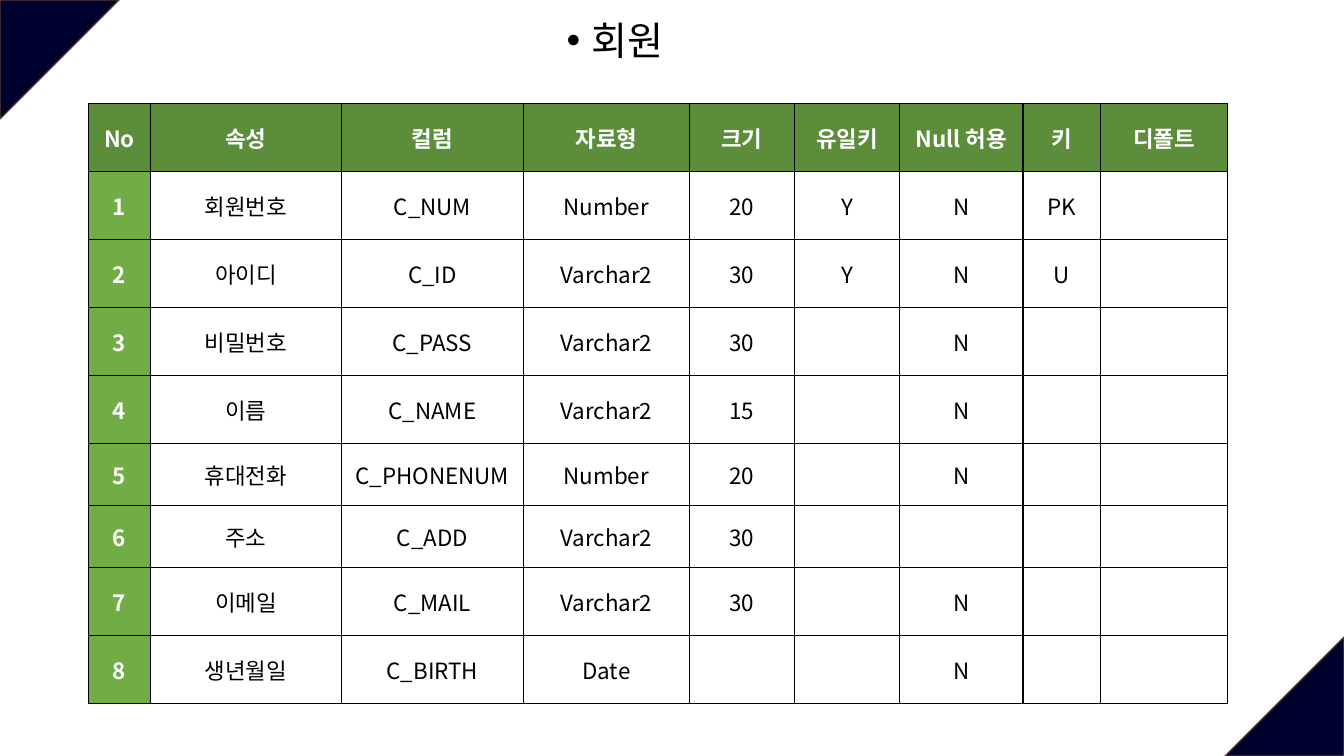
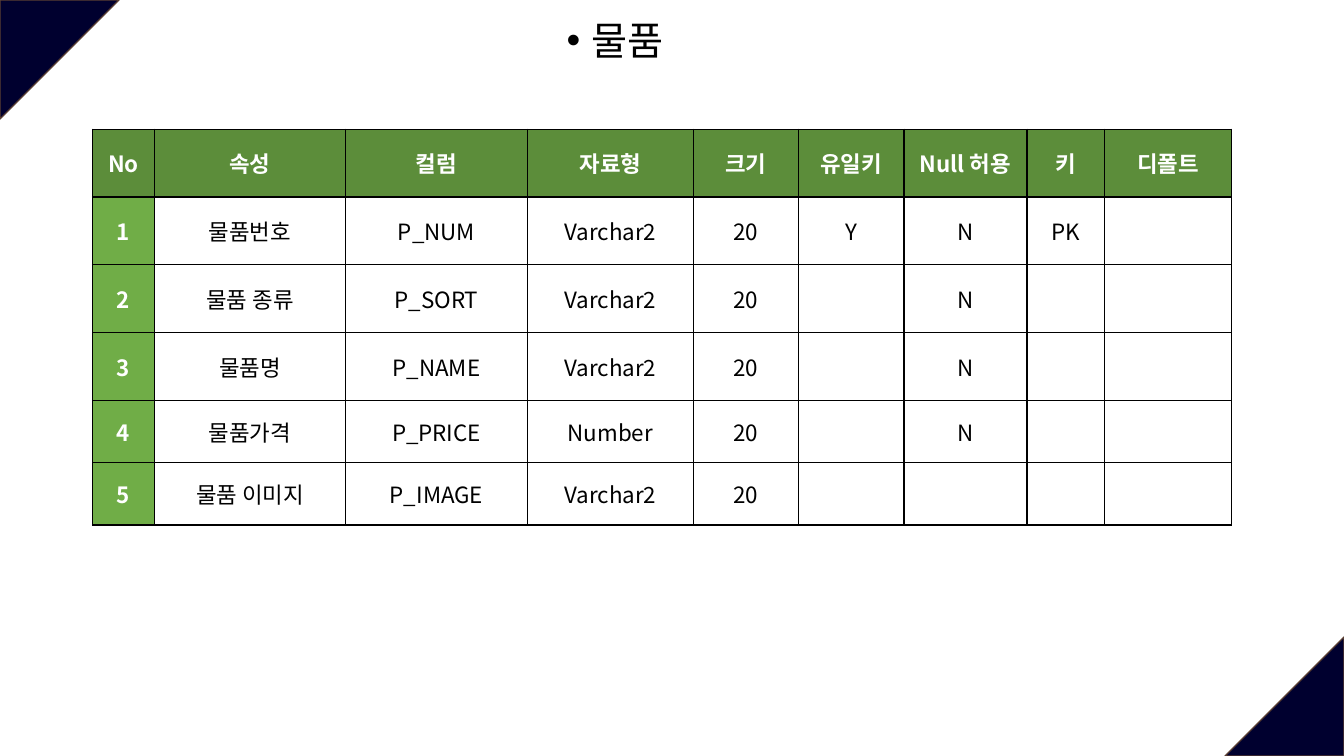
from lxml.etree import SubElement
from pptx import Presentation
from pptx.dml.color import RGBColor
from pptx.enum.shapes import MSO_SHAPE as Preset
from pptx.enum.text import MSO_ANCHOR as Anchor, PP_ALIGN as Align
from pptx.oxml.ns import qn
from pptx.util import Pt

FONT = "Noto Sans CJK KR"
BLACK, WHITE = "000000", "FFFFFF"
NAVY, BROWN = "00002F", "5B3F33"
HEADER_GREEN, NUMBER_GREEN = "5C8D3A", "70AD47"

SLIDE_WIDTH, SLIDE_HEIGHT = 960, 540
CORNER = 85
TITLE_BOX = (134, -34.5, 611, 106)
COLUMN_WIDTHS = (44.3, 136.4, 130, 118.6, 75, 75.4, 87.9, 55.7, 90.4)
TALL_ROW, SHORT_ROW = 48.5, 44.5
CELL_MARGIN = 4.3

HEADER = ("No", "속성", "컬럼", "자료형", "크기", "유일키", "Null 허용", "키", "디폴트")
MEMBER_FIELDS = (
    ("회원번호", "C_NUM", "Number", "20", "Y", "N", "PK", ""),
    ("아이디", "C_ID", "Varchar2", "30", "Y", "N", "U", ""),
    ("비밀번호", "C_PASS", "Varchar2", "30", "", "N", "", ""),
    ("이름", "C_NAME", "Varchar2", "15", "", "N", "", ""),
    ("휴대전화", "C_PHONENUM", "Number", "20", "", "N", "", ""),
    ("주소", "C_ADD", "Varchar2", "30", "", "", "", ""),
    ("이메일", "C_MAIL", "Varchar2", "30", "", "N", "", ""),
    ("생년월일", "C_BIRTH", "Date", "", "", "N", "", ""),
)
GOODS_FIELDS = (
    ("물품번호", "P_NUM", "Varchar2", "20", "Y", "N", "PK", ""),
    ("물품 종류", "P_SORT", "Varchar2", "20", "", "N", "", ""),
    ("물품명", "P_NAME", "Varchar2", "20", "", "N", "", ""),
    ("물품가격", "P_PRICE", "Number", "20", "", "N", "", ""),
    ("물품 이미지", "P_IMAGE", "Varchar2", "20", "", "", "", ""),
)


def color(code):
    """Turn a hex string into a colour."""
    return RGBColor.from_string(code)


def write(para, text, size=16, ink=BLACK, bold=False, align=Align.CENTER):
    """Put one formatted span of text into a paragraph."""
    para.alignment = align
    span = para.add_run()
    span.text = text
    font = span.font
    font.name, font.size, font.bold = FONT, Pt(size), bold
    font.color.rgb = color(ink)
    SubElement(span._r.get_or_add_rPr(), qn("a:ea"), typeface=FONT)


def add_corner(page, left, top, rotation):
    """Draw a right-angled triangle in a corner and return it."""
    corner = page.shapes.add_shape(
        Preset.ISOSCELES_TRIANGLE, Pt(left), Pt(top), Pt(CORNER), Pt(CORNER))
    corner.adjustments[0] = 0
    corner.rotation = rotation
    corner.shadow.inherit = False
    corner.fill.solid()
    corner.fill.fore_color.rgb = color(NAVY)
    corner.line.color.rgb = color(BROWN)
    corner.line.width = Pt(1)
    return corner


def decorate_layout(layout, page):
    """Draw both corners on a page, then move them to its layout."""
    for corner in (
            add_corner(page, 0, 0, 90),
            add_corner(page, SLIDE_WIDTH - CORNER, SLIDE_HEIGHT - CORNER, 270)):
        layout.shapes.element.append(corner.element)


def add_title(page, text, box):
    """Place the title placeholder as one centred bullet."""
    title = page.shapes.title
    title.left, title.top, title.width, title.height = map(Pt, box)
    frame = title.text_frame
    frame.word_wrap = True
    frame.vertical_anchor = Anchor.BOTTOM
    frame.margin_bottom = Pt(26)
    para = frame.paragraphs[0]
    para.line_spacing, para.space_before = 0.9, Pt(10)
    write(para, text, size=28)
    layout = para._p.get_or_add_pPr()
    layout.set("marL", str(Pt(18)))
    layout.set("indent", str(Pt(-18)))
    SubElement(layout, qn("a:buFont"), typeface="Arial")
    SubElement(layout, qn("a:buChar"), char="•")


def add_borders(cell):
    """Give a cell a thin black line on all four sides."""
    properties = cell._tc.get_or_add_tcPr()
    for side in ("lnL", "lnR", "lnT", "lnB"):
        line = SubElement(properties, qn(f"a:{side}"), w=str(Pt(1)))
        fill = SubElement(line, qn("a:solidFill"))
        SubElement(fill, qn("a:srgbClr"), val=BLACK)


def fill_cell(cell, text, row, column):
    """Format a cell by its place: header, number column or body."""
    add_borders(cell)
    cell.fill.solid()
    shade = HEADER_GREEN if row == 0 else NUMBER_GREEN if column == 0 else WHITE
    cell.fill.fore_color.rgb = color(shade)
    cell.vertical_anchor = Anchor.MIDDLE
    cell.margin_left = cell.margin_right = Pt(CELL_MARGIN)
    cell.margin_top = cell.margin_bottom = Pt(CELL_MARGIN)
    if text:
        heading = shade != WHITE
        write(cell.text_frame.paragraphs[0], text,
              ink=WHITE if heading else BLACK, bold=heading)


def add_fields(page, fields, left, top, short_rows):
    """Add the numbered table of fields with its corner at left, top."""
    rows = [HEADER] + [(str(number), *field) for number, field in enumerate(fields, 1)]
    heights = [SHORT_ROW if row in short_rows else TALL_ROW for row in range(len(rows))]
    table = page.shapes.add_table(
        len(rows), len(HEADER), Pt(left), Pt(top),
        Pt(sum(COLUMN_WIDTHS)), Pt(sum(heights))).table
    table.horz_banding = False
    for column, width in zip(table.columns, COLUMN_WIDTHS):
        column.width = Pt(width)
    for row, (texts, height) in enumerate(zip(rows, heights)):
        table.rows[row].height = Pt(height)
        for column, text in enumerate(texts):
            fill_cell(table.cell(row, column), text, row, column)


def add_entity_page(deck, layout, name, fields, left, top, short_rows):
    """Add a slide that defines one database table."""
    page = deck.slides.add_slide(layout)
    add_title(page, name, TITLE_BOX)
    add_fields(page, fields, left, top, short_rows)
    return page


def main():
    """Build and save the deck."""
    deck = Presentation()
    deck.slide_width, deck.slide_height = Pt(SLIDE_WIDTH), Pt(SLIDE_HEIGHT)
    layout = deck.slide_layouts.get_by_name("Title Only")
    member_page = add_entity_page(
        deck, layout, "회원", MEMBER_FIELDS, 63.2, 74.2, short_rows=(5, 6))
    decorate_layout(layout, member_page)
    add_entity_page(deck, layout, "물품", GOODS_FIELDS, 66.1, 92.2, short_rows=(4, 5))
    deck.save("out.pptx")


main()
